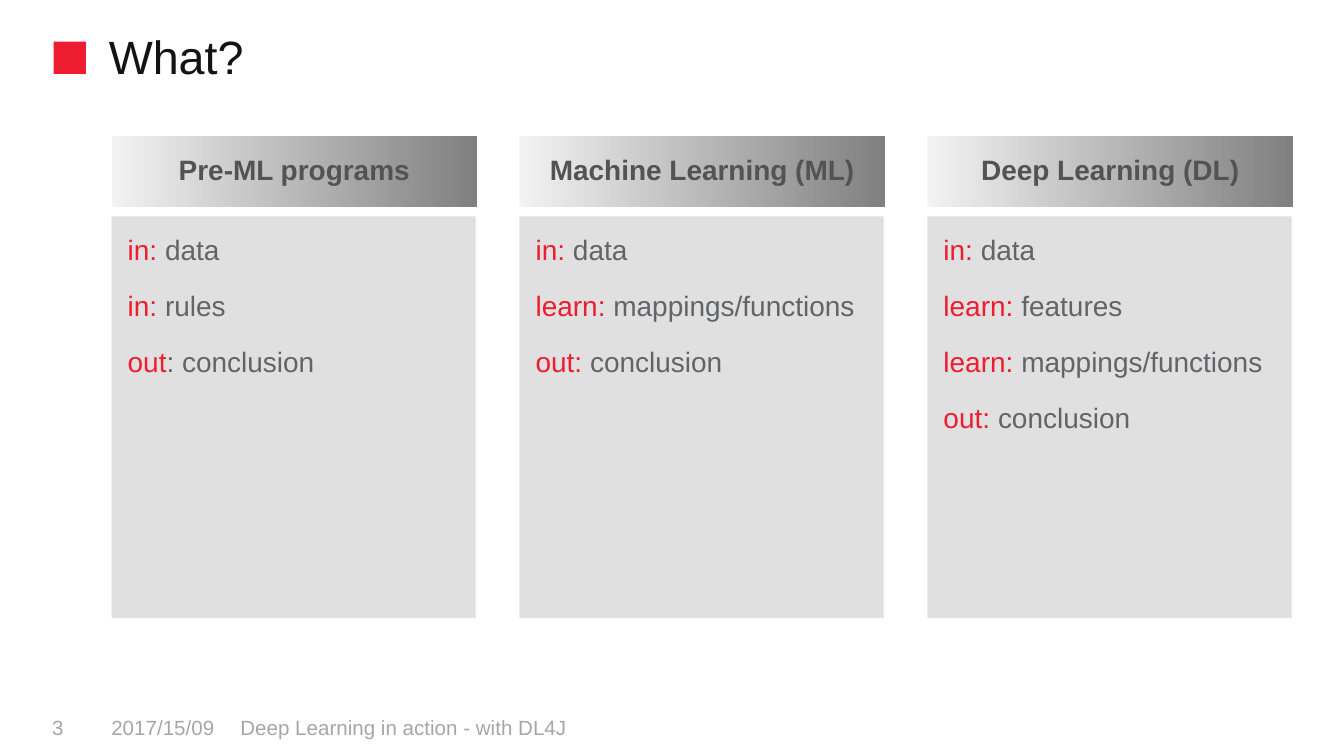
"""Build a slide comparing inputs and outputs of three kinds of programs."""
from typing import NamedTuple

from pptx import Presentation
from pptx.dml.color import RGBColor
from pptx.enum.shapes import MSO_SHAPE as Shape
from pptx.enum.text import MSO_ANCHOR as Anchor, MSO_AUTO_SIZE as AutoSize, PP_ALIGN as Align
from pptx.util import Inches, Pt

RED = RGBColor(0xED, 0x1C, 0x2E)
BLACK = RGBColor(0x14, 0x13, 0x13)
FOOTER_GRAY = RGBColor(0xA6, 0xA6, 0xA6)
HEADING_GRAY = RGBColor(0x53, 0x53, 0x53)
BODY_GRAY = RGBColor(0x63, 0x64, 0x66)
PANEL_GRAY = RGBColor(0xE0, 0xE0, 0xE1)
GRADIENT = (RGBColor(0xF2, 0xF2, 0xF2), RGBColor(0x80, 0x80, 0x80))

FONT = "Arial"
SLIDE_WIDTH = Inches(10)
SLIDE_HEIGHT = SLIDE_WIDTH * 9 // 16
FIRST_LEFT, LAST_LEFT = 0.83, 6.9


class Step(NamedTuple):
    label: str
    detail: str


class Column(NamedTuple):
    heading: str
    steps: list[Step]


class FooterItem(NamedTuple):
    text: str
    left: float
    width: float


COLUMNS = [
    Column("Pre-ML programs", [
        Step("in: ", "data"), Step("in: ", "rules"), Step("out", ": conclusion")]),
    Column("Machine Learning (ML)", [
        Step("in: ", "data"), Step("learn: ", "mappings/functions"),
        Step("out: ", "conclusion")]),
    Column("Deep Learning (DL)", [
        Step("in: ", "data"), Step("learn: ", "features"),
        Step("learn: ", "mappings/functions"), Step("out: ", "conclusion")]),
]

FOOTER = [
    FooterItem("Deep Learning in action - with DL4J", 1.69, 4.29),
    FooterItem("3", 0.29, 0.54),
    FooterItem("2017/15/09", 0.73, 0.98),
]


def add_run(paragraph, text: str, size: float, color: RGBColor, bold: bool = False) -> None:
    run = paragraph.add_run()
    run.text = text
    run.font.name = FONT
    run.font.size = Pt(size)
    run.font.bold = bold
    run.font.color.rgb = color


def set_margins(frame, horizontal: float, vertical: float) -> None:
    frame.margin_left = frame.margin_right = Inches(horizontal)
    frame.margin_top = frame.margin_bottom = Inches(vertical)


def add_rectangle(shapes, left: float, top: float, width: float, height: float):
    rectangle = shapes.add_shape(
        Shape.RECTANGLE, Inches(left), Inches(top), Inches(width), Inches(height))
    rectangle.shadow.inherit = False
    rectangle.line.fill.background()
    return rectangle


def fill_solid(shape, color: RGBColor) -> None:
    shape.fill.solid()
    shape.fill.fore_color.rgb = color


def format_title(title) -> None:
    title.left, title.top = Inches(0.69), Inches(0.14)
    title.width, title.height = Inches(8.91), Inches(0.79)
    frame = title.text_frame
    frame.auto_size = AutoSize.NONE
    frame.vertical_anchor = Anchor.TOP
    set_margins(frame, 0.12, 0.05)
    paragraph = frame.paragraphs[0]
    paragraph.alignment = Align.LEFT
    paragraph.line_spacing = Pt(31)
    add_run(paragraph, "What?", 25, BLACK)


def add_footer_item(slide, item: FooterItem) -> None:
    box = slide.shapes.add_textbox(
        Inches(item.left), Inches(5.26), Inches(item.width), Inches(0.3))
    frame = box.text_frame
    frame.word_wrap = True
    frame.vertical_anchor = Anchor.MIDDLE
    add_run(frame.paragraphs[0], item.text, 11, FOOTER_GRAY)


def add_heading(shapes, text: str, left: float) -> None:
    heading = add_rectangle(shapes, left, 1.01, 2.72, 0.53)
    heading.fill.gradient()
    heading.fill.gradient_angle = 0
    for position, (stop, color) in enumerate(zip(heading.fill.gradient_stops, GRADIENT)):
        stop.position = position
        stop.color.rgb = color
    frame = heading.text_frame
    frame.vertical_anchor = Anchor.MIDDLE
    paragraph = frame.paragraphs[0]
    paragraph.alignment = Align.CENTER
    paragraph.line_spacing = Pt(16)
    add_run(paragraph, text, 15, HEADING_GRAY, bold=True)


def add_panel(shapes, steps: list[Step], left: float) -> None:
    panel = add_rectangle(shapes, left, 1.61, 2.71, 2.99)
    fill_solid(panel, PANEL_GRAY)
    frame = panel.text_frame
    frame.vertical_anchor = Anchor.TOP
    set_margins(frame, 0.12, 0.12)
    for index, step in enumerate(steps):
        paragraph = frame.add_paragraph() if index else frame.paragraphs[0]
        paragraph.alignment = Align.LEFT
        paragraph.space_before = Pt(12)
        add_run(paragraph, step.label, 15, RED)
        add_run(paragraph, step.detail, 15, BODY_GRAY)


def main() -> None:
    presentation = Presentation()
    presentation.slide_width, presentation.slide_height = SLIDE_WIDTH, SLIDE_HEIGHT
    slide = presentation.slides.add_slide(presentation.slide_layouts.get_by_name("Title Only"))
    format_title(slide.shapes.title)
    fill_solid(add_rectangle(slide.shapes, 0.4, 0.31, 0.24, 0.24), RED)
    for item in FOOTER:
        add_footer_item(slide, item)
    column_step = (LAST_LEFT - FIRST_LEFT) / (len(COLUMNS) - 1)
    for index, column in enumerate(COLUMNS):
        left = FIRST_LEFT + index * column_step
        group = slide.shapes.add_group_shape()
        add_heading(group.shapes, column.heading, left)
        add_panel(group.shapes, column.steps, left)
    presentation.save("out.pptx")


if __name__ == "__main__":
    main()
